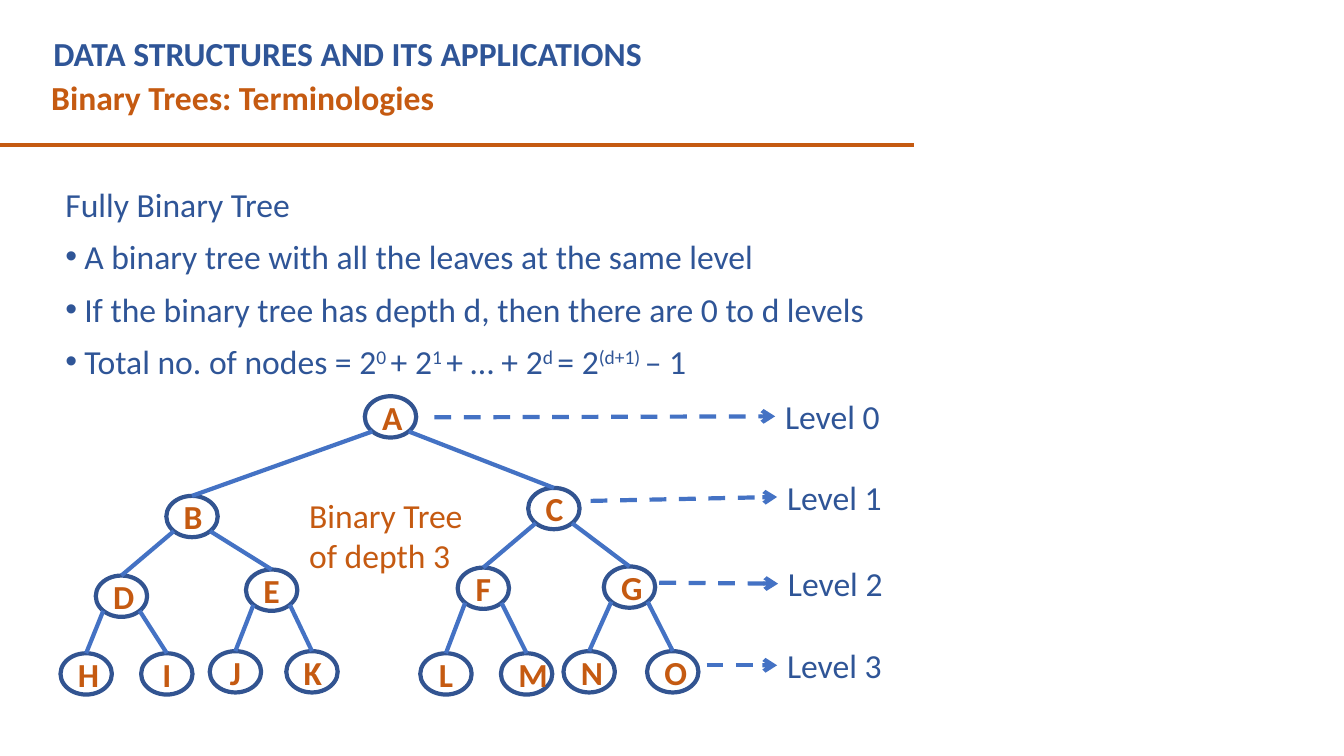
"""Build the slide on fully binary trees: headings, definitions and a tree of depth 3."""
from lxml import etree
from pptx import Presentation
from pptx.dml.color import RGBColor
from pptx.enum import dml, shapes, text
from pptx.oxml import ns
from pptx.util import Pt

NAVY, ORANGE, BLUE, OUTLINE = "2F5597", "C55A11", "4472C4", "325491"


def color(value):
    return RGBColor.from_string(value)


def add_text(left, top, width, height, lines, ink, bold=False):
    box = slide.shapes.add_textbox(Pt(left), Pt(top), Pt(width), Pt(height))
    box.text_frame.word_wrap = True
    box.text_frame.text = lines
    for paragraph in box.text_frame.paragraphs:
        for run in paragraph.runs:
            run.font.name, run.font.size, run.font.bold = "Calibri", Pt(24), bold
            run.font.color.rgb = color(ink)
    return box.text_frame


presentation = Presentation()
presentation.slide_width, presentation.slide_height = Pt(960), Pt(540)
slide = presentation.slides.add_slide(presentation.slide_layouts[6])

add_text(29.5, 51.1, 630, 36, "Binary Trees: Terminologies", ORANGE, True)
add_text(31, 20.2, 590.4, 36, "DATA STRUCTURES AND ITS APPLICATIONS", NAVY, True)
add_text(213.8, 349.9, 127.4, 65.5, "Binary Tree of depth 3", ORANGE)

definition = add_text(39.6, 118, 601.2, 375, "\n".join([
    "Fully Binary Tree",
    "A binary tree with all the leaves at the same level",
    "If the binary tree has depth d, then there are 0 to d levels",
    "Total no. of nodes = 2",
]), NAVY)
definition.margin_top, definition.margin_bottom = Pt(4.7), 0
for paragraph in definition.paragraphs:
    paragraph.alignment = text.PP_ALIGN.JUSTIFY
    paragraph.line_spacing = 1.3
for paragraph in definition.paragraphs[1:]:
    properties = paragraph._p.get_or_add_pPr()
    properties.set("marL", str(Pt(13.5)))
    properties.set("indent", str(-Pt(13.5)))
    etree.SubElement(properties, ns.qn("a:buFont"), typeface="Arial")
    etree.SubElement(properties, ns.qn("a:buChar"), char="•")

formula = definition.paragraphs[-1]
pieces = ["0 ", "+ 2", "1 ", "+ … + 2", "d ", "= 2", "(d+1) ", "– 1"]
for index, piece in enumerate(pieces):
    run = formula.add_run()
    run.text = piece
    run.font.name, run.font.size = "Calibri", Pt(24)
    run.font.color.rgb = color(NAVY)
    if index % 2 == 0:
        run.font._element.set("baseline", "30000")

tree = slide.shapes.add_group_shape()
node_width, node_height = 36.7, 29.5
nodes = [
    ("A", 260.6, 283),
    ("B", 118.8, 354.2), ("C", 377.3, 348.5),
    ("D", 68.4, 411.1), ("E", 175.7, 406.8), ("F", 326.9, 405.4), ("G", 431.3, 404.6),
    ("H", 43.2, 466.6), ("I", 100.8, 466.6), ("J", 149.8, 465.1), ("K", 204.5, 465.1),
    ("L", 300.2, 466.6), ("M", 357.8, 466.6), ("N", 402.5, 465.1), ("O", 462.2, 465.1),
]
for letter, left, top in nodes:
    node = tree.shapes.add_shape(
        shapes.MSO_SHAPE.OVAL, Pt(left), Pt(top), Pt(node_width), Pt(node_height))
    node.shadow.inherit = False
    node.fill.solid()
    node.fill.fore_color.rgb = color("FFFFFF")
    node.line.color.rgb = color(OUTLINE)
    node.line.width = Pt(3)
    node.text_frame.text = letter
    paragraph = node.text_frame.paragraphs[0]
    paragraph.alignment = text.PP_ALIGN.CENTER
    font = paragraph.runs[0].font
    font.name, font.size, font.bold = "Calibri", Pt(24), True
    font.color.rgb = color(ORANGE)

lines = [(slide.shapes, (-0.7, 103.7, 653, 103.7), ORANGE, False)]
for child in range(1, len(nodes)):
    parent_left, parent_top = nodes[(child - 1) // 2][1:]
    child_left, child_top = nodes[child][1:]
    across = 0.146 if child % 2 else 0.854
    ends = (parent_left + across * node_width, parent_top + 0.854 * node_height,
            child_left + node_width / 2, child_top)
    lines.append((tree.shapes, ends, BLUE, False))

levels = [
    (553.7, 279.4, 310.3, 298.1, 297.4),
    (555.1, 337, 421.9, 357.8, 355),
    (555.8, 398.9, 470.9, 416.2, 416.9),
    (555.1, 457.2, 504.7, 475.2, 475.2),
]
for level, (left, top, start_x, start_y, end_y) in enumerate(levels):
    add_text(left, top, 88, 36, f"Level {level}", NAVY)
    lines.append((slide.shapes, (start_x, start_y, left, end_y), BLUE, True))

for container, ends, ink, is_arrow in lines:
    line = container.add_connector(
        shapes.MSO_CONNECTOR.STRAIGHT, *[Pt(value) for value in ends])
    line.line.color.rgb = color(ink)
    line.line.width = Pt(3)
    if is_arrow:
        line.line.dash_style = dml.MSO_LINE.DASH
        etree.SubElement(line.line._get_or_add_ln(), ns.qn("a:tailEnd"), type="arrow")
    etree.SubElement(line._element.spPr, ns.qn("a:effectLst"))

presentation.save("out.pptx")
